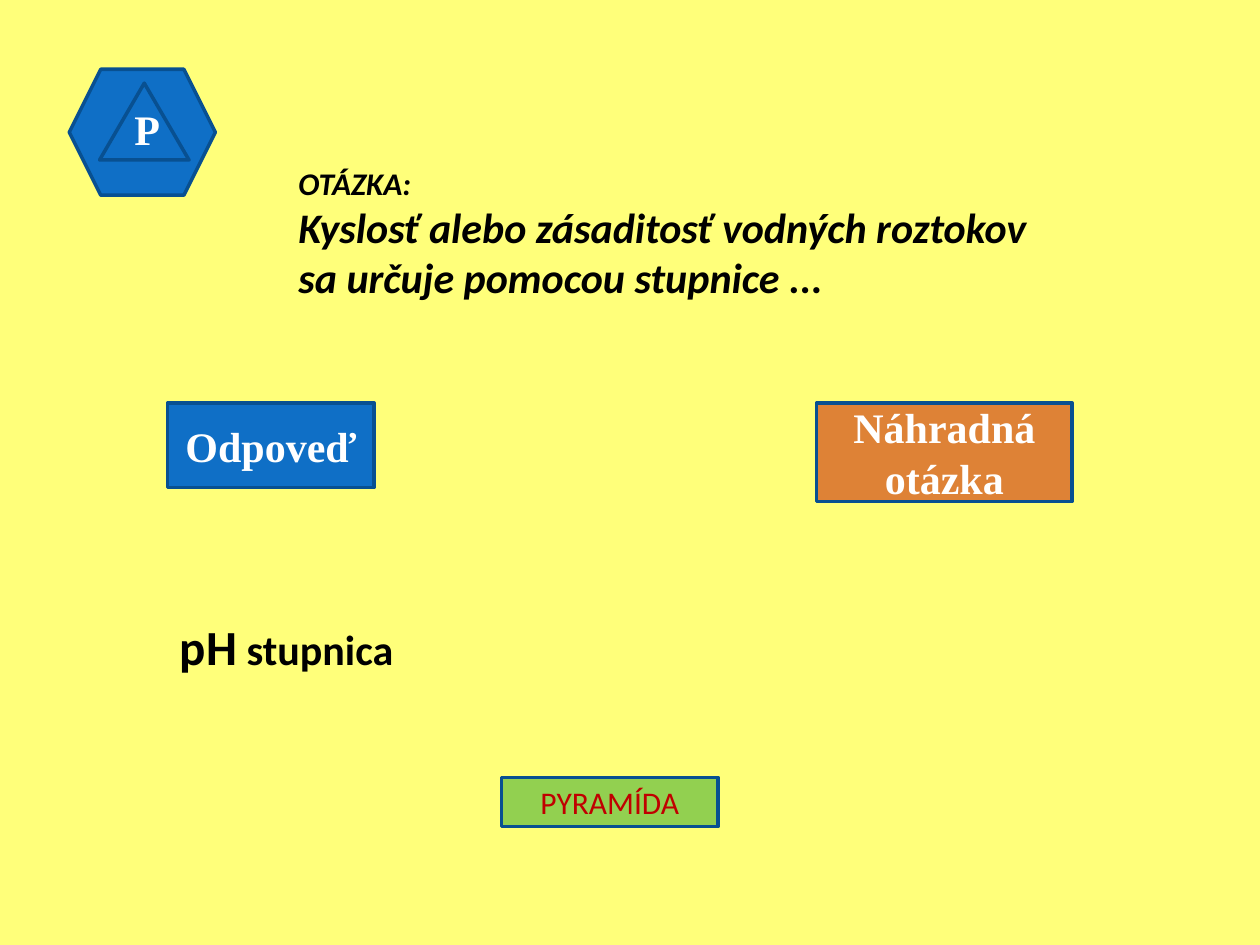
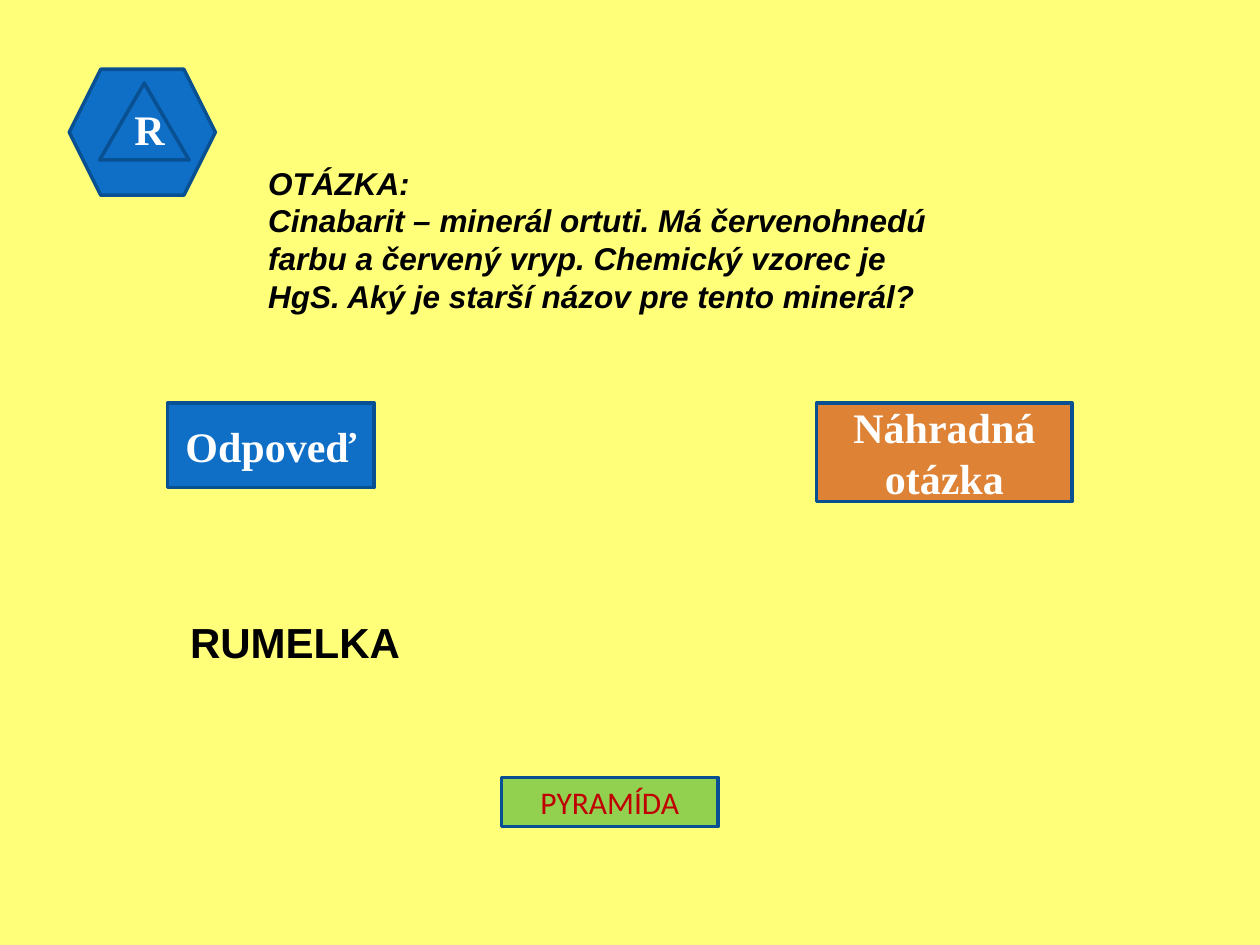
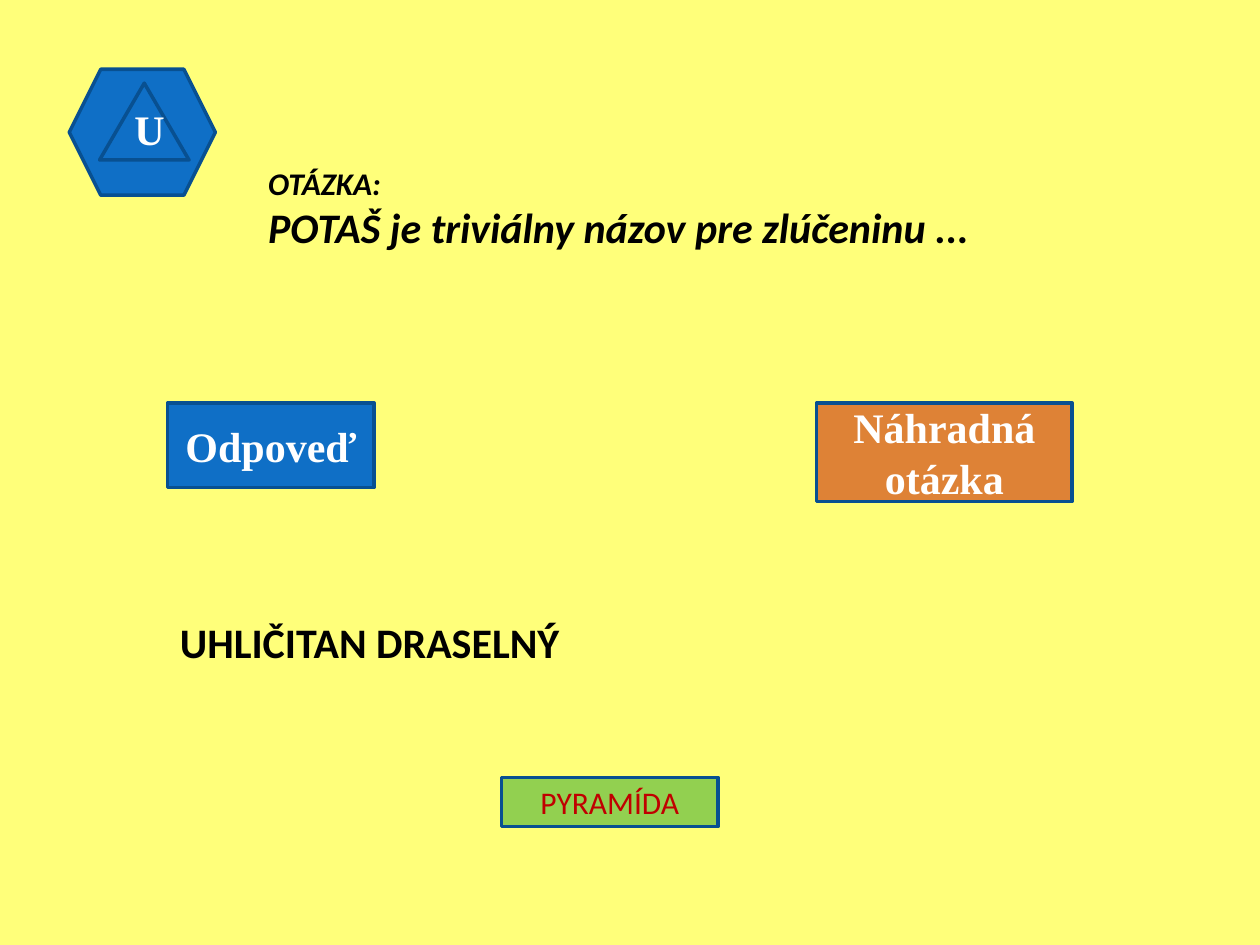
from pptx import Presentation
from pptx.dml.color import RGBColor
from pptx.enum.shapes import MSO_SHAPE
from pptx.enum.text import MSO_ANCHOR, MSO_AUTO_SIZE, PP_ALIGN
from pptx.util import Inches, Pt

HEXAGON = MSO_SHAPE.HEXAGON
TRIANGLE = MSO_SHAPE.ISOSCELES_TRIANGLE
PROCESS = MSO_SHAPE.FLOWCHART_PROCESS
MIDDLE, BOTTOM = MSO_ANCHOR.MIDDLE, MSO_ANCHOR.BOTTOM
CENTER = PP_ALIGN.CENTER
GROW = MSO_AUTO_SIZE.SHAPE_TO_FIT_TEXT

COLORS = {
    "background": "FFFF7A",
    "blue": "0F6FC6",
    "outline": "085091",
    "orange": "DE8236",
    "green": "92D050",
    "red": "C00000",
    "white": "FFFFFF",
    "black": "000000",
}
SERIF, SANS, ARIAL = "Times New Roman", "Calibri", "Arial"

# Boxes are (left, top, width, height) in inches
BADGE_BOX = (0.55, 0.55, 1.16, 1)
BUTTONS = [
    ("Odpoveď", (1.33, 3.2, 1.64, 0.67), "blue", SERIF, 24, "white", True),
    ("Náhradná otázka", (6.48, 3.2, 2.03, 0.78), "orange", SERIF, 24, "white", True),
    ("PYRAMÍDA", (3.98, 6.17, 1.72, 0.39), "green", SANS, 18, "red", False),
]

QUESTIONS = [
    {
        "letter": "P",
        "font": SANS,
        "question": "Kyslosť alebo zásaditosť vodných roztokov sa určuje pomocou stupnice ...",
        "question_size": 24,
        "question_box": (2.27, 1.25, 6.17, 1.2),
        "answer": [("pH", 28), (" stupnica", 24)],
        "answer_box": (1.33, 4.84, 2.11, 0.57),
    },
    {
        "letter": "R",
        "font": ARIAL,
        "question": "Cinabarit – minerál ortuti. Má červenohnedú farbu a červený vryp. "
                    "Chemický vzorec je HgS. Aký je starší názov pre tento minerál?",
        "question_size": 18,
        "question_box": (2.03, 1.25, 5.55, 1.6),
        "answer": [("RUMELKA", 24)],
        "answer_box": (1.41, 4.84, 2.11, 0.5),
    },
    {
        "letter": "U",
        "font": SANS,
        "question": "POTAŠ je triviálny názov pre zlúčeninu ...",
        "question_size": 24,
        "question_box": (2.03, 1.25, 5.94, 0.8),
        "answer": [("UHLIČITAN DRASELNÝ", 24)],
        "answer_box": (1.33, 4.84, 3.75, 0.5),
    },
]


def rgb(name):
    return RGBColor.from_string(COLORS[name])


def style_run(run, font, size, color="black", bold=True, italic=False):
    run.font.name = font
    run.font.size = Pt(size)
    run.font.color.rgb = rgb(color)
    run.font.bold = bold
    run.font.italic = italic


def add_outlined(slide, kind, box, fill):
    shape = slide.shapes.add_shape(kind, *map(Inches, box))
    shape.shadow.inherit = False
    shape.fill.solid()
    shape.fill.fore_color.rgb = rgb(fill)
    shape.line.color.rgb = rgb("outline")
    shape.line.width = Pt(2)
    return shape


def add_label(shape, text, anchor, *run_style):
    frame = shape.text_frame
    frame.word_wrap = True
    frame.vertical_anchor = anchor
    label = frame.paragraphs[0]
    label.text = text
    label.alignment = CENTER
    style_run(label.runs[0], *run_style)


def add_text_frame(slide, box):
    frame = slide.shapes.add_textbox(*map(Inches, box)).text_frame
    frame.word_wrap = True
    frame.auto_size = GROW
    return frame


def add_badge(slide, box, letter):
    left, top, width, height = box
    add_outlined(slide, HEXAGON, box, "blue")
    triangle_box = (left + 0.24, top + 0.11, width - 0.45, height - 0.39)
    triangle = add_outlined(slide, TRIANGLE, triangle_box, "blue")
    add_label(triangle, letter, BOTTOM, SERIF, 24, "white")


def add_question(slide, box, question, font, size):
    frame = add_text_frame(slide, box)
    frame.text = "OTÁZKA:\n" + question
    for paragraph, paragraph_size in zip(frame.paragraphs, (18, size)):
        style_run(paragraph.runs[0], font, paragraph_size, italic=True)


def add_answer(slide, box, parts, font):
    paragraph = add_text_frame(slide, box).paragraphs[0]
    for text, size in parts:
        run = paragraph.add_run()
        run.text = text
        style_run(run, font, size)


def add_buttons(slide):
    for text, box, fill, *run_style in BUTTONS:
        button = add_outlined(slide, PROCESS, box, fill)
        add_label(button, text, MIDDLE, *run_style)


def add_question_slide(prs, item):
    slide = prs.slides.add_slide(prs.slide_layouts[6])
    slide.background.fill.solid()
    slide.background.fill.fore_color.rgb = rgb("background")

    add_badge(slide, BADGE_BOX, item["letter"])
    add_question(slide, item["question_box"], item["question"],
                 item["font"], item["question_size"])
    add_buttons(slide)
    add_answer(slide, item["answer_box"], item["answer"], item["font"])


def main():
    prs = Presentation()
    prs.slide_width, prs.slide_height = Inches(10), Inches(7.5)
    for item in QUESTIONS:
        add_question_slide(prs, item)
    prs.save("out.pptx")


if __name__ == "__main__":
    main()
